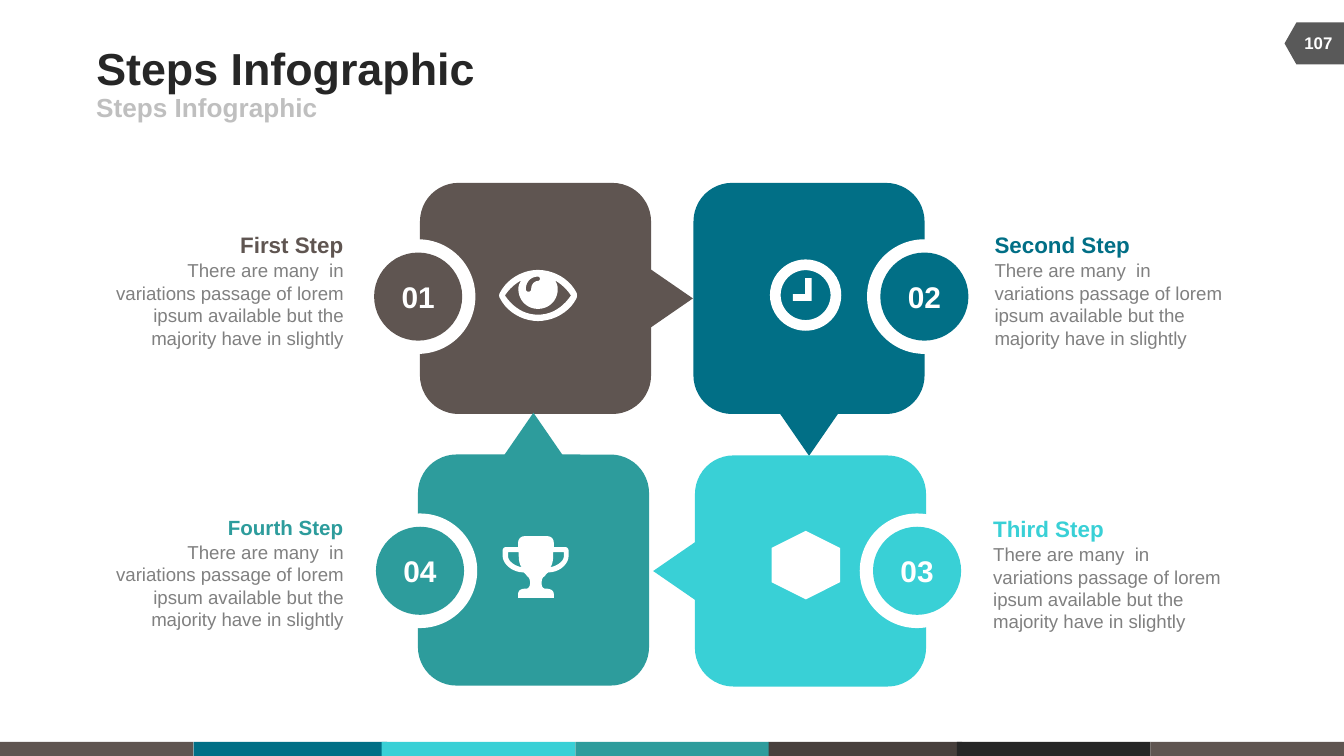
"""Build the four-step cycle infographic slide."""
from dataclasses import dataclass
from math import comb

from pptx import Presentation
from pptx.dml.color import RGBColor
from pptx.enum.shapes import MSO_SHAPE
from pptx.enum.text import MSO_ANCHOR, PP_ALIGN
from pptx.util import Pt

RECT, OVAL, DONUT = MSO_SHAPE.RECTANGLE, MSO_SHAPE.OVAL, MSO_SHAPE.DONUT
TILE, POINTER = MSO_SHAPE.FLOWCHART_ALTERNATE_PROCESS, MSO_SHAPE.ISOSCELES_TRIANGLE
TAG, HEXAGON = MSO_SHAPE.FLOWCHART_OFFPAGE_CONNECTOR, MSO_SHAPE.HEXAGON
LEFT, CENTER, RIGHT = PP_ALIGN.LEFT, PP_ALIGN.CENTER, PP_ALIGN.RIGHT
TOP, MIDDLE = MSO_ANCHOR.TOP, MSO_ANCHOR.MIDDLE

FONT = "Arial"
WHITE, INK, GREY = "FFFFFF", "262626", "808080"
BROWN, BLUE, AQUA, TEAL = "5F5551", "016F86", "39D0D6", "2D9C9C"
TILE_SIZE, RING_SIZE, DISC_SIZE = 123.8, 61.4, 47.2
POINTER_WIDTH, POINTER_HEIGHT, POINTER_REACH = 31.7, 23, 72.8
CAPTION_WIDTH = 124
CURVE_STEPS = 10
BODY = ("There are many  in variations passage of lorem ipsum available "
        "but the majority have in slightly")


@dataclass(frozen=True)
class Step:
    """One tile of the cycle with its number and caption."""
    number: str
    heading: str
    heading_size: float
    color: str
    center: tuple[float, float]
    direction: tuple[int, int]
    rotation: int
    badge_center: tuple[float, float]
    caption: tuple[float, float]
    align: PP_ALIGN


STEPS = [
    Step("01", "First Step", 12, BROWN, (286.9, 159.9), (1, 0), 90,
         (224, 158.9), (60, 123.8), RIGHT),
    Step("02", "Second Step", 12, BLUE, (433.4, 159.9), (0, 1), 180,
         (495.2, 158.9), (532.8, 123.8), LEFT),
    Step("03", "Third Step", 12, AQUA, (434.2, 305.9), (-1, 0), 270,
         (491.3, 305.8), (532.1, 275.8), LEFT),
    Step("04", "Fourth Step", 11, TEAL, (285.8, 305.4), (0, -1), 0,
         (225, 305.8), (60, 275.8), RIGHT),
]

FOOTER = [(0, BROWN), (103.7, BLUE), (204.5, AQUA), (308.2, TEAL),
          (411.8, "473F3C"), (512.6, INK), (616.3, BROWN)]

EYE = [
    [(41.6, 15.1), (38, 22.5, 29.5, 27.4, 20.9, 27.4), (12.6, 27.4, 4.2, 22.5, 0.5, 15.1),
     (0, 14.2, 0, 13.2, 0.5, 12.3), (4.2, 5, 12.6, 0, 20.9, 0),
     (29.5, 0, 38, 5, 41.6, 12.3), (41.9, 13.2, 41.9, 14.2, 41.6, 15.1)],
    [(30, 5.6), (31, 7, 31.5, 8.6, 31.5, 10.3), (31.5, 16.2, 27, 20.9, 20.9, 20.9),
     (15, 20.9, 10.4, 16.2, 10.4, 10.3), (10.4, 8.6, 11, 7, 12, 5.6),
     (8.5, 7.5, 5.5, 10.2, 3.2, 13.7), (7.5, 20, 13.5, 24, 20.9, 24),
     (28.3, 24, 34.3, 20, 38.6, 13.7), (36.3, 10.2, 33.3, 7.5, 30, 5.6)],
    [(20.9, 3.6), (16.8, 3.6, 14.4, 6.8, 14.4, 10.3), (14.4, 12.2, 17.3, 12.2, 17.3, 10.3),
     (17.3, 8, 18.7, 6, 21, 5.9), (22.3, 5.7, 22.3, 3.6, 20.9, 3.6)],
]
CLOCK_HANDS = [[(6.5, 0), (10.1, 0), (10.1, 12.2), (0, 12.2), (0, 8.6), (6.5, 8.6)]]
TROPHY = [
    [(35.3, 10.8), (35.3, 14.4, 31, 19.4, 24.5, 19.4), (23, 20.2, 22.7, 21.6, 22.3, 21.6),
     (21, 22.3, 20.9, 23.8, 20.9, 25.2), (20.9, 26, 20.9, 28.1, 23, 28.1),
     (25.2, 28.1, 27.4, 28.8, 27.4, 31), (27.4, 33), (8.3, 33), (8.3, 31),
     (8.3, 28.8, 10.1, 28.1, 12.6, 28.1), (14.4, 28.1, 14.7, 26, 14.7, 25.2),
     (14.7, 23.8, 14.4, 22.3, 13.3, 21.6), (13, 21.6, 12.6, 20.2, 11.2, 19.4),
     (4.7, 19.4, 0, 14.4, 0, 10.8), (0, 7.9), (0, 6.5, 0.7, 5.8, 2.2, 5.8),
     (8.3, 5.8), (8.3, 3.6), (8.3, 1.4, 9.7, 0, 11.9, 0), (23.8, 0),
     (26, 0, 27.4, 1.4, 27.4, 3.6), (27.4, 5.8), (33.1, 5.8),
     (34.6, 5.8, 35.3, 6.5, 35.3, 7.9)],
    [(8.6, 8.6), (2.9, 8.6), (2.9, 10.8), (2.9, 13, 5.8, 15.8, 10.1, 16.6),
     (8.6, 14.4, 8.6, 11.5, 8.6, 8.6)],
    [(32.8, 8.6), (27.1, 8.6), (27.1, 11.5, 27.1, 14.4, 25.6, 16.6),
     (29.9, 15.8, 32.8, 13, 32.8, 10.8)],
]


def rgb(color: str) -> RGBColor:
    """Turn a hex string into a colour."""
    return RGBColor.from_string(color)


def paint(shape, color: str):
    """Give a shape a flat fill without line or shadow."""
    shape.fill.solid()
    shape.fill.fore_color.rgb = rgb(color)
    shape.line.fill.background()
    shape.shadow.inherit = False
    return shape


def add_block(slide, preset, left: float, top: float, width: float, height: float,
              color: str, rotation: float = 0):
    """Add a flat preset shape."""
    block = slide.shapes.add_shape(preset, Pt(left), Pt(top), Pt(width), Pt(height))
    block.rotation = rotation
    return paint(block, color)


def add_centered(slide, preset, center: tuple[float, float], width: float,
                 height: float, color: str, rotation: float = 0):
    """Add a flat preset shape around a center point."""
    x, y = center
    return add_block(slide, preset, x - width / 2, y - height / 2,
                     width, height, color, rotation)


def write(shape, text: str, *, size: float, color: str, bold: bool = True,
          align: PP_ALIGN = LEFT, anchor: MSO_ANCHOR = MIDDLE, wrap: bool = True) -> None:
    """Write one formatted paragraph into a shape without insets."""
    frame = shape.text_frame
    frame.margin_left = frame.margin_right = frame.margin_top = frame.margin_bottom = 0
    frame.word_wrap = wrap
    frame.vertical_anchor = anchor
    paragraph = frame.paragraphs[0]
    paragraph.alignment = align
    run = paragraph.add_run()
    run.text = text
    run.font.name, run.font.size, run.font.bold = FONT, Pt(size), bold
    run.font.color.rgb = rgb(color)


def add_label(slide, text: str, left: float, top: float, width: float,
              height: float, **style) -> None:
    """Add a text box with one formatted paragraph."""
    box = slide.shapes.add_textbox(Pt(left), Pt(top), Pt(width), Pt(height))
    write(box, text, **style)


def flatten(contour: list[tuple]) -> list[tuple[float, float]]:
    """Turn a contour of points and cubic curves into plain points."""
    points = [contour[0]]
    for part in contour[1:]:
        if len(part) == 2:
            points.append(part)
            continue
        controls = [points[-1], part[:2], part[2:4], part[4:]]
        for t in (step / CURVE_STEPS for step in range(1, CURVE_STEPS + 1)):
            weights = [comb(3, i) * t ** i * (1 - t) ** (3 - i) for i in range(4)]
            points.append(tuple(sum(w * control[axis] for w, control in zip(weights, controls))
                                for axis in (0, 1)))
    return points


def add_icon(slide, contours: list[list[tuple]], left: float, top: float) -> None:
    """Draw a white icon whose inner contours are holes."""
    outlines = [[(Pt(left + x), Pt(top + y)) for x, y in flatten(contour)]
                for contour in contours]
    builder = slide.shapes.build_freeform(*outlines[0][0])
    builder.add_line_segments(outlines[0][1:])
    for outline in outlines[1:]:
        builder.move_to(*outline[0])
        builder.add_line_segments(outline[1:])
    paint(builder.convert_to_shape(), WHITE)


def add_tile(slide, step: Step) -> None:
    """Draw a tile and the pointer towards the next one."""
    add_centered(slide, TILE, step.center, TILE_SIZE, TILE_SIZE, step.color)
    tip = tuple(c + d * POINTER_REACH for c, d in zip(step.center, step.direction))
    add_centered(slide, POINTER, tip, POINTER_WIDTH, POINTER_HEIGHT, step.color, step.rotation)


def add_caption(slide, step: Step) -> None:
    """Draw a step's number badge, heading and text."""
    add_centered(slide, OVAL, step.badge_center, RING_SIZE, RING_SIZE, WHITE)
    disc = add_centered(slide, OVAL, step.badge_center, DISC_SIZE, DISC_SIZE, step.color)
    write(disc, step.number, size=16, color=WHITE, align=CENTER)
    left, top = step.caption
    heading_height = step.heading_size * 1.2
    add_label(slide, step.heading, left, top, CAPTION_WIDTH, heading_height,
              size=step.heading_size, color=step.color, align=step.align)
    add_label(slide, BODY, left, top + heading_height + 0.7, CAPTION_WIDTH, 48.2,
              size=10, color=GREY, bold=False, align=step.align, anchor=TOP)


def main() -> None:
    """Build and save the slide."""
    deck = Presentation()
    deck.slide_width, deck.slide_height = Pt(720), Pt(405)
    slide = deck.slides.add_slide(deck.slide_layouts[6])
    for left, color in FOOTER:
        add_block(slide, RECT, left, 397.5, 103.7, 7.5, color)
    add_block(slide, TAG, 692.8, 7.4, 22.5, 31.8, "595959", 90)
    add_label(slide, "107", 691.2, 12.3, 30.2, 21.6, size=9, color=WHITE, align=CENTER)
    add_label(slide, "Steps Infographic", 51.6, 22, 444, 28, size=24, color=INK, wrap=False)
    add_label(slide, "Steps Infographic", 51.6, 49.2, 324, 16, size=14, color="BFBFBF", wrap=False)
    for step in STEPS:
        add_tile(slide, step)
    for step in STEPS:
        add_caption(slide, step)
    add_icon(slide, EYE, 267.3, 144.6)
    clock = add_block(slide, DONUT, 412.5, 139, 38.2, 38.2, WHITE)
    clock.adjustments[0] = 0.15
    add_icon(slide, CLOCK_HANDS, 424.8, 149)
    add_block(slide, HEXAGON, 413.3, 284.4, 36.7, 36.7, WHITE, 90)
    add_icon(slide, TROPHY, 269.3, 287.3)
    deck.save("out.pptx")


if __name__ == "__main__":
    main()
